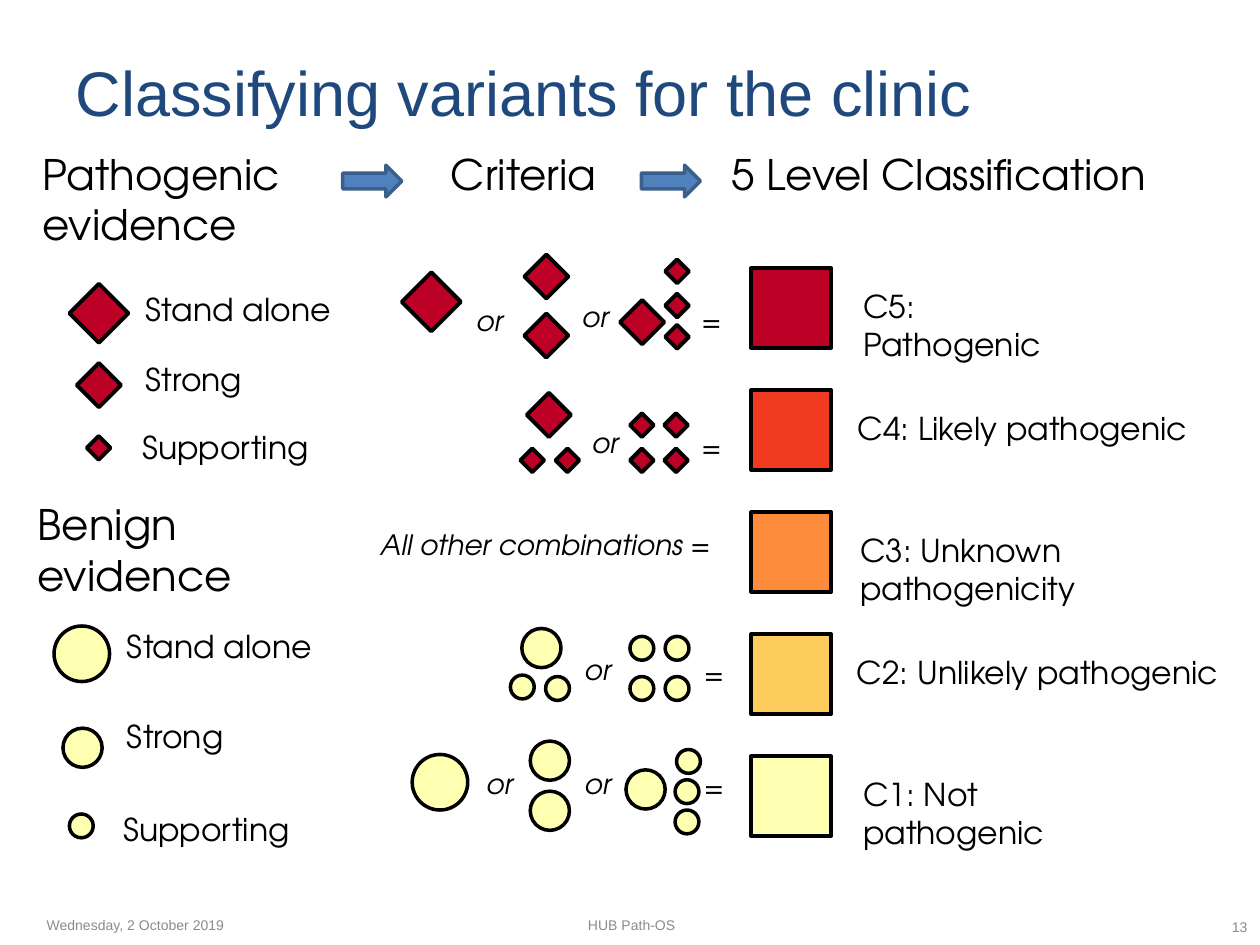
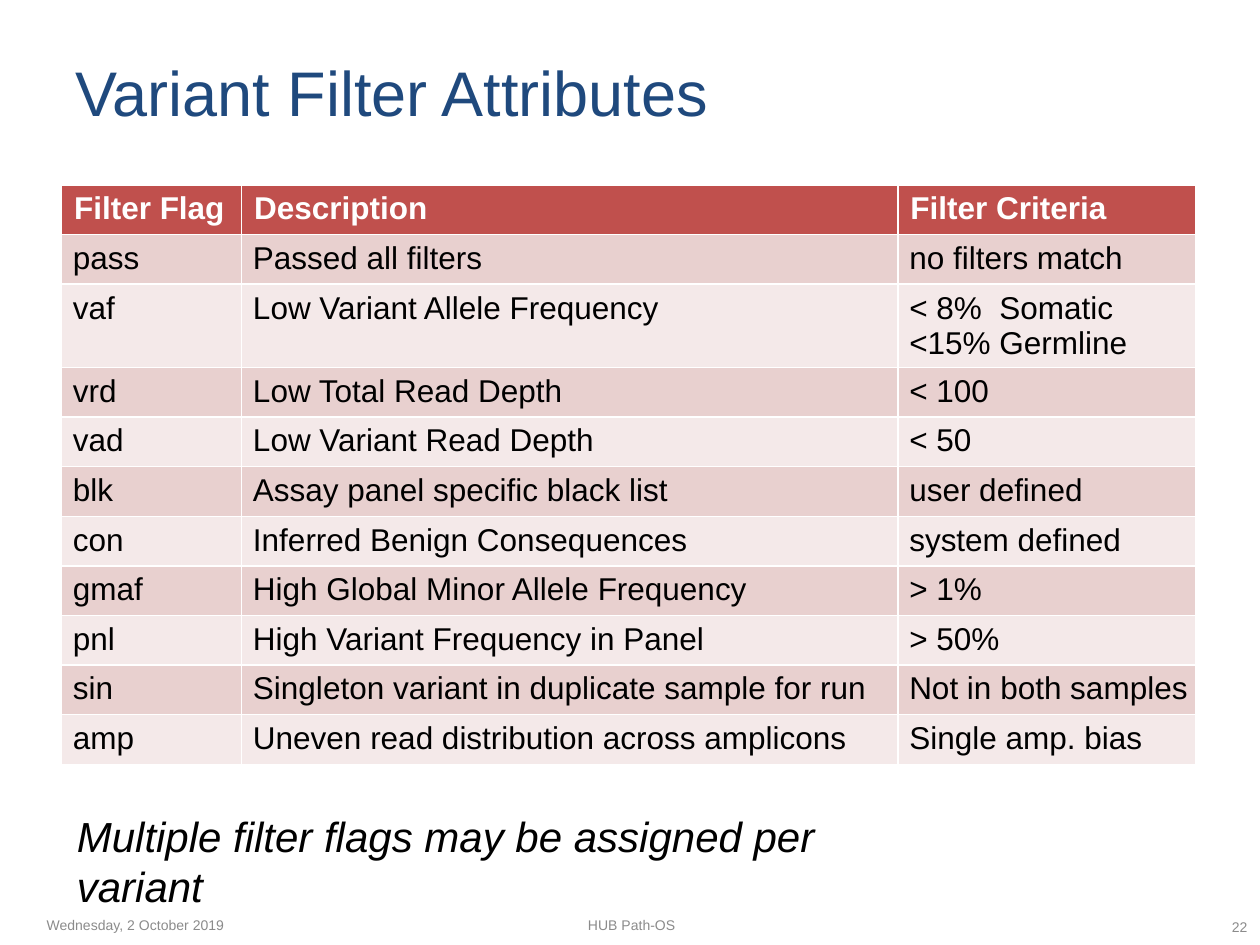
"""Build two slides on classifying and filtering variants."""
from dataclasses import dataclass
from itertools import product

from pptx import Presentation
from pptx.dml.color import RGBColor
from pptx.enum.shapes import MSO_SHAPE
from pptx.enum.text import MSO_ANCHOR, MSO_AUTO_SIZE, PP_ALIGN
from pptx.util import Cm, Pt

TITLE_BLUE = RGBColor(0x1F, 0x49, 0x7D)
FOOTER_GREY = RGBColor(0x8B, 0x8B, 0x8B)
BLACK = RGBColor(0, 0, 0)
WHITE = RGBColor(0xFF, 0xFF, 0xFF)
CRIMSON = RGBColor(0xBD, 0x00, 0x26)
VERMILION = RGBColor(0xF0, 0x3B, 0x20)
ORANGE = RGBColor(0xFD, 0x8D, 0x3C)
AMBER = RGBColor(0xFE, 0xCC, 0x5C)
PALE_YELLOW = RGBColor(0xFF, 0xFF, 0xB2)
ARROW_FILL = RGBColor(0x4F, 0x81, 0xBD)
ARROW_EDGE = RGBColor(0x3A, 0x5F, 0x8B)
HEADER_RED = RGBColor(0xC0, 0x50, 0x4D)
ROW_ROSE = RGBColor(0xE8, 0xD0, 0xCF)
ROW_PALE = RGBColor(0xF4, 0xE9, 0xE9)

SANS = "Arial"
GEOMETRIC = "TeX Gyre Adventor"
LEVEL_PITCH = 2.46


@dataclass(frozen=True)
class Label:
    """Text with its place and size in centimetres."""
    text: str
    left: float
    top: float
    width: float
    height: float = 1.02
    size: int = 18
    wrap: bool = False
    italic: bool = False
    font: str = GEOMETRIC
    color: RGBColor = BLACK
    align: PP_ALIGN = PP_ALIGN.LEFT
    anchor: MSO_ANCHOR = MSO_ANCHOR.TOP
    grow: bool = True


@dataclass(frozen=True)
class Evidence:
    """Look of one evidence family and the places of its marks by strength."""
    shape: MSO_SHAPE
    fill: RGBColor
    line_width: float
    marks: dict[float, list[tuple[float, float]]]


@dataclass(frozen=True)
class Level:
    """One classification level and the place of its name."""
    name: str
    color: RGBColor
    left: float
    width: float
    height: float = 1.02
    wrap: bool = False


PATHOGENIC = Evidence(MSO_SHAPE.DIAMOND, CRIMSON, 2.25, {
    1.19: [(1.4, 5.72), (8.1, 5.49)],
    0.89: [(1.55, 7.32), (10.57, 5.13), (10.57, 6.32), (12.5, 6.05),
           (10.62, 7.92)],
    0.48: [(1.75, 8.79), (13.41, 5.23), (13.41, 5.92), (13.41, 6.55),
           (10.49, 9.04), (11.2, 9.04),
           *product((12.7, 13.39), (8.33, 9.04))],
})
BENIGN = Evidence(MSO_SHAPE.OVAL, PALE_YELLOW, 2, {
    1.12: [(1.09, 12.62), (8.31, 15.21)],
    0.79: [(1.27, 14.68), (10.52, 12.67), (10.69, 14.94), (10.69, 15.95),
           (12.62, 15.52)],
    0.48: [(1.4, 16.41), (10.29, 13.61), (11, 13.64), (13.64, 15.11),
           (13.61, 15.72), (13.61, 16.33),
           *product((12.7, 13.41), (12.83, 13.64))],
})

LEVELS = [
    Level("C5: Pathogenic", CRIMSON, 17.15, 5, wrap=True),
    Level("C4: Likely pathogenic", VERMILION, 17.04, 7.34),
    Level("C3: Unknown pathogenicity", ORANGE, 17.09, 7.87, 1.78, True),
    Level("C2: Unlikely pathogenic", AMBER, 17.02, 8.03),
    Level("C1: Not pathogenic", PALE_YELLOW, 17.15, 6.2, wrap=True),
]

HEADINGS = [
    Label("Pathogenic evidence", 0.61, 2.87, 7.7, 2.29, 24, True),
    Label("Criteria", 8.84, 2.87, 3.63, 1.27, 24),
    Label("5 Level Classification", 14.5, 2.87, 9.42, 1.27, 24),
    Label("Benign\nevidence", 0.51, 9.93, 6.2, 2.29, 24, True),
]
STRENGTHS = [("Stand alone", 0, 4.83), ("Strong", 0, 4.62),
             ("Supporting", -0.07, 3.99)]
STRENGTH_COLUMNS = [(2.69, (5.72, 7.14, 8.51)), (2.31, (12.52, 14.33, 16.21))]
OR_PLACES = [(9.35, 5.99), (11.48, 5.92), (11.68, 8.46), (11.53, 13.03),
             (9.55, 15.32), (11.53, 15.32)]
EQUALS_PLACES = [(13.89, 5.99), (13.89, 8.53), (13.94, 13.11), (13.94, 15.39)]

FILTERS = [
    ("Filter Flag", "Description", "Filter Criteria"),
    ("pass", "Passed all filters", "no filters match"),
    ("vaf", "Low Variant Allele Frequency", "< 8%  Somatic\n<15% Germline"),
    ("vrd", "Low Total Read Depth", "< 100"),
    ("vad", "Low Variant Read Depth", "< 50"),
    ("blk", "Assay panel specific black list", "user defined"),
    ("con", "Inferred Benign Consequences", "system defined"),
    ("gmaf", "High Global Minor Allele Frequency", "> 1%"),
    ("pnl", "High Variant Frequency in Panel", "> 50%"),
    ("sin", "Singleton variant in duplicate sample for run",
     "Not in both samples"),
    ("amp", "Uneven read distribution across amplicons", "Single amp. bias"),
]
FILTER_COLUMNS = (3.63, 13.23, 6)


def style_text(frame, font: str, size: float, color: RGBColor,
               bold: bool = False, italic: bool = False,
               align: PP_ALIGN = PP_ALIGN.LEFT) -> None:
    """Format every run of a text frame."""
    for paragraph in frame.paragraphs:
        paragraph.alignment = align
        for run in paragraph.runs:
            run.font.name = font
            run.font.size = Pt(size)
            run.font.bold = bold
            run.font.italic = italic
            run.font.color.rgb = color


def add_label(slide, label: Label) -> None:
    """Place a label as a text box."""
    box = slide.shapes.add_textbox(Cm(label.left), Cm(label.top),
                                   Cm(label.width), Cm(label.height))
    frame = box.text_frame
    frame.text = label.text
    frame.word_wrap = label.wrap
    frame.vertical_anchor = label.anchor
    frame.auto_size = (MSO_AUTO_SIZE.SHAPE_TO_FIT_TEXT if label.grow
                       else MSO_AUTO_SIZE.NONE)
    style_text(frame, label.font, label.size, label.color,
               italic=label.italic, align=label.align)


def add_figure(slide, kind: MSO_SHAPE, left: float, top: float, width: float,
               height: float, fill: RGBColor, edge: RGBColor = BLACK,
               line_width: float = 2.25) -> None:
    """Place a filled and outlined preset shape."""
    figure = slide.shapes.add_shape(kind, Cm(left), Cm(top), Cm(width),
                                    Cm(height))
    figure.shadow.inherit = False
    figure.fill.solid()
    figure.fill.fore_color.rgb = fill
    figure.line.color.rgb = edge
    figure.line.width = Pt(line_width)


def add_titled_slide(deck, heading: str, number: int):
    """Add a slide with the shared title and footers."""
    slide = deck.slides.add_slide(deck.slide_layouts[5])
    title = slide.shapes.title
    title.left, title.top = Cm(1.27), Cm(0.76)
    title.width, title.height = Cm(22.86), Cm(2.16)
    frame = title.text_frame
    frame.text = heading
    frame.vertical_anchor = MSO_ANCHOR.MIDDLE
    frame.auto_size = MSO_AUTO_SIZE.NONE
    style_text(frame, SANS, 36, TITLE_BLUE)
    for text, left, top, width, height, align in (
            ("Wednesday, 2 October 2019", 0.69, 18.26, 5.92, 0.79,
             PP_ALIGN.LEFT),
            ("HUB Path-OS", 8.71, 18.26, 8.05, 0.79, PP_ALIGN.CENTER),
            (str(number), 19.48, 18.34, 5.92, 0.71, PP_ALIGN.RIGHT)):
        add_label(slide, Label(text, left, top, width, height, 8, True,
                               font=SANS, color=FOOTER_GREY, align=align,
                               anchor=MSO_ANCHOR.MIDDLE, grow=False))
    return slide


def build_classification(deck) -> None:
    """Build the slide of evidence, criteria and levels."""
    slide = add_titled_slide(deck, "Classifying variants for the clinic", 13)
    for index, level in enumerate(LEVELS):
        offset = index * LEVEL_PITCH
        add_figure(slide, MSO_SHAPE.RECTANGLE, 15.14, 5.41 + offset, 1.62, 1.6,
                   level.color)
        add_label(slide, Label(level.name, level.left, 5.66 + offset,
                               level.width, level.height, wrap=level.wrap))
    for heading in HEADINGS:
        add_label(slide, heading)
    for left, tops in STRENGTH_COLUMNS:
        for (strength, shift, width), top in zip(STRENGTHS, tops):
            add_label(slide, Label(strength, left + shift, top, width))
    for evidence in (PATHOGENIC, BENIGN):
        for size, places in evidence.marks.items():
            for left, top in places:
                add_figure(slide, evidence.shape, left, top, size, size,
                           evidence.fill, line_width=evidence.line_width)
    for word, width, places in (
            ("or", 1.07, OR_PLACES), ("=", 0.97, EQUALS_PLACES),
            ("All other combinations =", 7.67, [(7.42, 10.52)])):
        for left, top in places:
            add_label(slide, Label(word, left, top, width, 0.91, 16,
                                   italic=True))
    for left in (6.91, 12.93):
        add_figure(slide, MSO_SHAPE.RIGHT_ARROW, left, 3.33, 1.19, 0.64,
                   ARROW_FILL, ARROW_EDGE, 2)


def build_filters(deck) -> None:
    """Build the slide with the table of filter flags."""
    slide = add_titled_slide(deck, "Variant Filter Attributes", 22)
    table = slide.shapes.add_table(len(FILTERS), len(FILTER_COLUMNS), Cm(1.24),
                                   Cm(3.73), Cm(22.86), Cm(11.47)).table
    for column, width in zip(table.columns, FILTER_COLUMNS):
        column.width = Cm(width)
    for index, entries in enumerate(FILTERS):
        is_header = index == 0
        has_two_lines = any("\n" in entry for entry in entries)
        table.rows[index].height = Cm(1.47 if has_two_lines else 1)
        row_fill = ROW_ROSE if index % 2 else ROW_PALE
        for cell, entry in zip(table.rows[index].cells, entries):
            cell.text_frame.text = entry
            cell.fill.solid()
            cell.fill.fore_color.rgb = HEADER_RED if is_header else row_fill
            if not is_header:
                cell.margin_left, cell.margin_right = Cm(0.23), Cm(0.03)
            style_text(cell.text_frame, SANS, 18,
                       WHITE if is_header else BLACK, bold=is_header)
    add_label(slide, Label("Multiple filter flags may be assigned per variant",
                           1.3, 16.21, 18.14, 1.27, 24, italic=True,
                           font=SANS))


def main() -> None:
    """Create and save the presentation."""
    deck = Presentation()
    deck.slide_width, deck.slide_height = Cm(25.4), Cm(19.05)
    build_classification(deck)
    build_filters(deck)
    deck.save("out.pptx")


if __name__ == "__main__":
    main()
